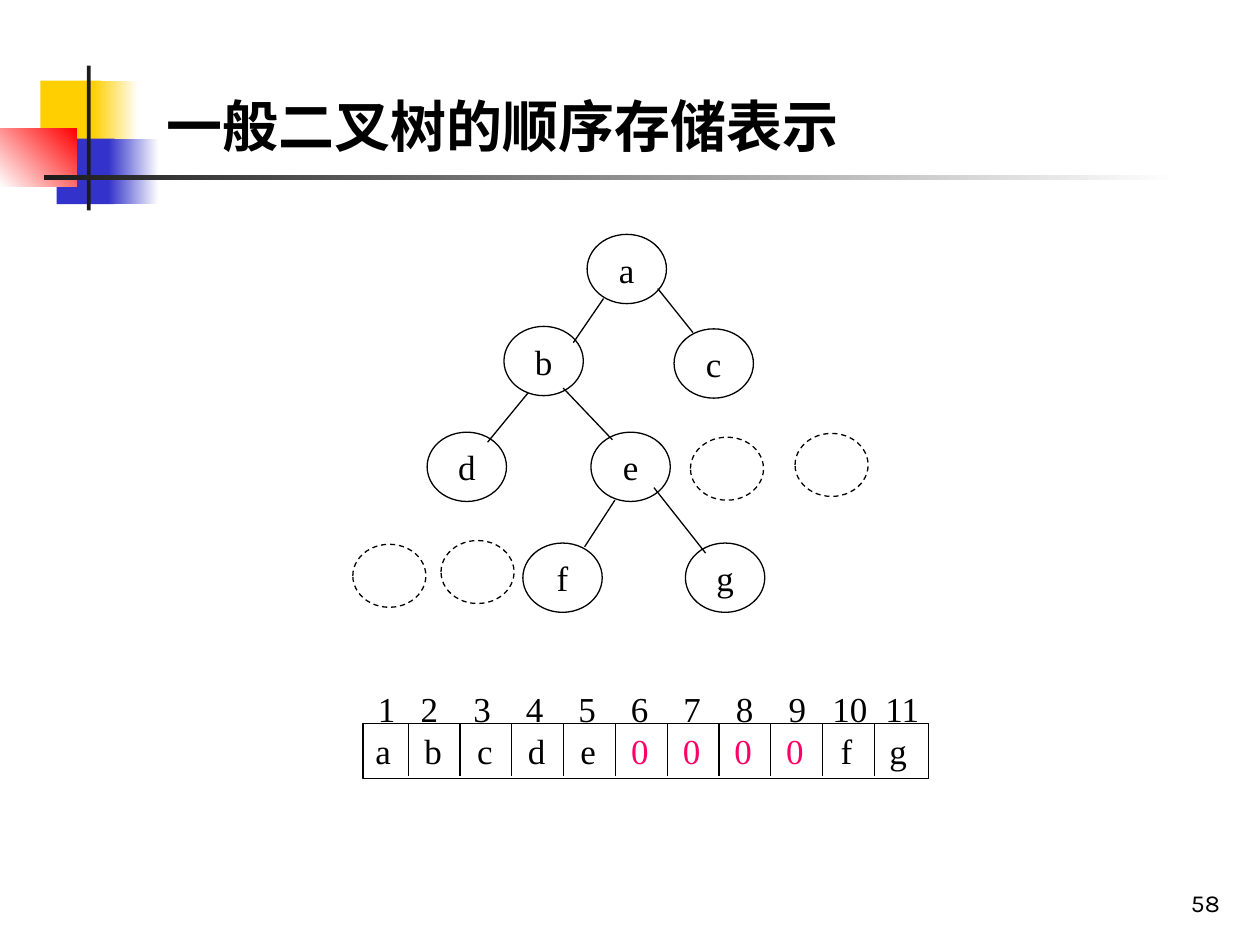
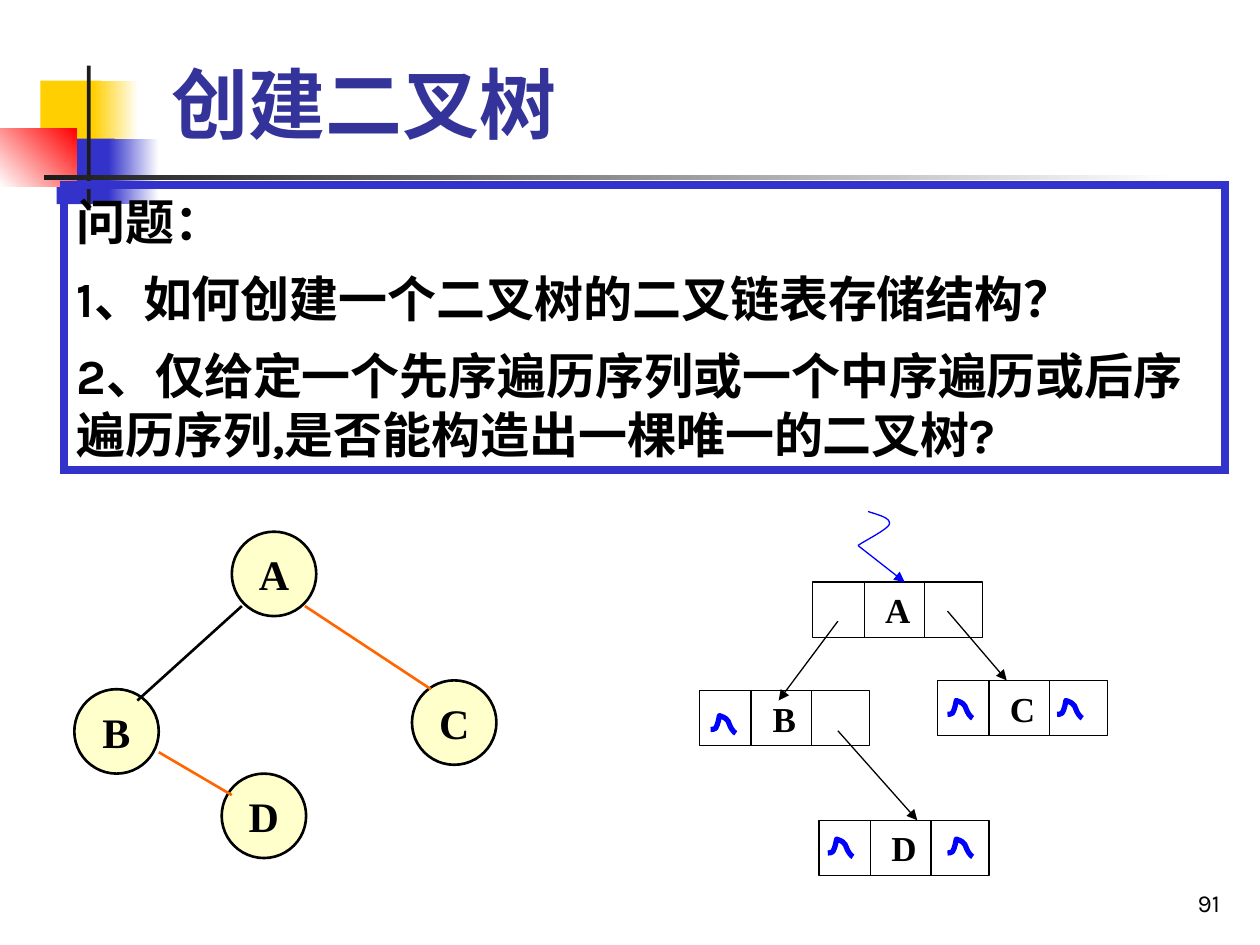
from dataclasses import dataclass
from typing import NamedTuple, Optional

from lxml.etree import SubElement
from pptx import Presentation
from pptx.dml.color import RGBColor
from pptx.enum.dml import MSO_LINE_DASH_STYLE as Dash
from pptx.enum.shapes import MSO_CONNECTOR as Connector, MSO_SHAPE as Preset
from pptx.enum.text import MSO_ANCHOR as Anchor, MSO_AUTO_SIZE as AutoSize, PP_ALIGN as Align
from pptx.oxml.ns import qn
from pptx.util import Inches, Pt

BLACK, WHITE, DARK = "000000", "FFFFFF", "1C1C1C"
YELLOW, BLUE, RED = "FFCF01", "3333CC", "FF0000"
TITLE_BLUE, POINTER_BLUE = "333399", "0000FF"
PINK, CREAM, ORANGE = "FF0066", "FFFFCC", "FF6600"
SANS, SERIF = "Karla", "Times New Roman"


@dataclass(frozen=True)
class TextStyle:
    size: float
    font: str = SERIF
    color: str = BLACK
    bold: bool = False


@dataclass(frozen=True)
class Look:
    fill: Optional[str] = None
    line: Optional[str] = BLACK
    width: float = 0.75
    dash: Optional[Dash] = None


class Box(NamedTuple):
    left: float
    top: float
    width: float
    height: float


class Band(NamedTuple):
    box: Box
    start: str
    end: Optional[str] = None
    angle: float = 0


class Node(NamedTuple):
    label: str
    left: float
    top: float


class Link(NamedTuple):
    x1: float
    y1: float
    x2: float
    y2: float
    color: str = BLACK


BANDS = [
    Band(Box(0.32, 0.64, 0.48, 0.52), YELLOW),
    Band(Box(0.74, 0.64, 0.36, 0.52), YELLOW, WHITE),
    Band(Box(0.45, 1.1, 0.46, 0.52), BLUE),
    Band(Box(0.86, 1.1, 0.4, 0.52), BLUE, WHITE),
    Band(Box(0, 1.02, 0.61, 0.46), WHITE, RED, 45),
    Band(Box(0.69, 0.52, 0.03, 1.15), DARK),
    Band(Box(0.35, 1.39, 9, 0.04), DARK, WHITE),
]
OUTLINE = Look()
DASHED = Look(dash=Dash.DASH)
PLAIN = TextStyle(20)

LETTER_NODES = [
    Node("a", 4.66, 1.86), Node("b", 4, 2.59), Node("c", 5.35, 2.61), Node("d", 3.39, 3.43),
    Node("e", 4.69, 3.43), Node("f", 4.15, 4.31), Node("g", 5.44, 4.31),
]
EMPTY_NODES = [Node("", 5.48, 3.47), Node("", 6.31, 3.44), Node("", 2.8, 4.32), Node("", 3.5, 4.29)]
LETTER_LINKS = [
    Link(4.79, 2.37, 4.55, 2.72), Link(4.19, 3.12, 3.87, 3.51), Link(5.22, 2.29, 5.5, 2.64),
    Link(4.47, 3.08, 4.86, 3.49), Link(5.19, 3.87, 5.6, 4.39), Link(4.88, 3.97, 4.64, 4.34),
]
ARRAY_BOX = Box(2.88, 5.74, 4.49, 0.44)
INDEX_BOX = Box(2.9, 5.4, 4.51, 0.44)
FIRST_DIVIDER, LAST_DIVIDER = 3.24, 6.94
ARRAY_PARTS = [("abcde", BLACK), ("0000", PINK), ("fg", BLACK)]
ARRAY_LENGTH = sum(len(values) for values, _ in ARRAY_PARTS)

TREE_NODES = [Node("A", 1.84, 4.22), Node("D", 1.76, 6.14), Node("B", 0.59, 5.47), Node("C", 3.27, 5.4)]
TREE_LINKS = [
    Link(1.92, 4.81, 1.09, 5.56), Link(2.42, 4.81, 3.42, 5.47, ORANGE),
    Link(1.26, 5.97, 1.84, 6.31, ORANGE),
]
RECORDS = [Node("A", 6.45, 4.62), Node("B", 5.55, 5.48), Node("C", 7.44, 5.4), Node("D", 6.5, 6.51)]
RECORD_WIDTH, RECORD_HEIGHT = 1.35, 0.44
FIELD_EDGES = (0.41, 0.89)
POINTERS = [
    Link(6.81, 4.33, 7.18, 4.62, POINTER_BLUE), Link(6.65, 4.93, 6.18, 5.56),
    Link(7.52, 4.85, 7.99, 5.4), Link(6.65, 5.8, 7.28, 6.51),
]
# Curves are a start point, then two control points and an end point per segment.
ROOT_CURVE = [(0.08, 0), (0.17, 0.03), (0.26, 0.05), (0.25, 0.1), (0.24, 0.14), (0.04, 0.24), (0, 0.27)]
NULL_CURVE = [
    (0, 0.11), (0.01, 0.11), (0.03, 0.11), (0.04, 0.1), (0.06, 0.07), (0.07, 0), (0.07, 0),
    (0.16, 0.03), (0.13, 0.05), (0.17, 0.11), (0.18, 0.13), (0.2, 0.14), (0.2, 0.14),
]
NULL_MARKS = [(5.64, 5.68), (7.52, 5.56), (8.39, 5.56), (6.57, 6.66), (7.52, 6.66)]
QUESTIONS = [
    "问题：",
    "1、如何创建一个二叉树的二叉链表存储结构？",
    "2、仅给定一个先序遍历序列或一个中序遍历或后序遍历序列,是否能构造出一棵唯一的二叉树?",
]


def rgb(color: str) -> RGBColor:
    return RGBColor.from_string(color)


def place(box: Box) -> list:
    return [Inches(value) for value in box]


def add_run(paragraph, text: str, style: TextStyle) -> None:
    run = paragraph.add_run()
    run.text = text
    run.font.size, run.font.name, run.font.bold = Pt(style.size), style.font, style.bold
    run.font.color.rgb = rgb(style.color)


def apply_look(shape, look: Look) -> None:
    shape.shadow.inherit = False
    if look.fill:
        shape.fill.solid()
        shape.fill.fore_color.rgb = rgb(look.fill)
    else:
        shape.fill.background()
    if look.line:
        shape.line.color.rgb = rgb(look.line)
        shape.line.width = Pt(look.width)
        if look.dash:
            shape.line.dash_style = look.dash
    else:
        shape.line.fill.background()


def add_shape(slide, preset: Preset, box: Box, look: Look, label: str = "", style: TextStyle = PLAIN):
    shape = slide.shapes.add_shape(preset, *place(box))
    apply_look(shape, look)
    if label:
        frame = shape.text_frame
        frame.word_wrap, frame.vertical_anchor = False, Anchor.MIDDLE
        frame.paragraphs[0].alignment = Align.CENTER
        add_run(frame.paragraphs[0], label, style)
    return shape


def add_link(slide, link: Link, width: float = 0.75, arrow: bool = False) -> None:
    ends = [Inches(value) for value in link[:4]]
    connector = slide.shapes.add_connector(Connector.STRAIGHT, *ends)
    connector.line.color.rgb = rgb(link.color)
    connector.line.width = Pt(width)
    if arrow:
        SubElement(connector.element.spPr.find(qn("a:ln")), qn("a:tailEnd"), type="triangle")
    SubElement(connector.element.spPr, qn("a:effectLst"))


def add_curve(slide, left: float, top: float, points: list, width: float) -> None:
    """Draw an open freeform, turning each three straight steps into one cubic Bezier."""
    start, *rest = [(Inches(left + x), Inches(top + y)) for x, y in points]
    builder = slide.shapes.build_freeform(*start)
    builder.add_line_segments(rest, close=False)
    shape = builder.convert_to_shape()
    steps = list(shape.element.iter(qn("a:lnTo")))
    for first in range(0, len(steps), 3):
        curve = SubElement(steps[0].getparent(), qn("a:cubicBezTo")) if not first else \
            SubElement(curve.getparent(), qn("a:cubicBezTo"))
        for step in steps[first:first + 3]:
            curve.append(step[0])
            step.getparent().remove(step)
    apply_look(shape, Look(line=POINTER_BLUE, width=width))


def add_bands(slide, layout) -> None:
    """Build the corner bands and move them to the layout that all slides share."""
    for band in BANDS:
        shape = add_shape(slide, Preset.RECTANGLE, band.box, Look(fill=band.start, line=None))
        if band.end:
            shape.fill.gradient()
            shape.fill.gradient_angle = band.angle
            for stop, color in zip(shape.fill.gradient_stops, (band.start, band.end)):
                stop.color.rgb = rgb(color)
        layout.shapes.element.append(shape.element)


def set_title(slide, text: str, box: Box, style: TextStyle, anchor: Anchor) -> None:
    title = slide.shapes.title
    title.left, title.top, title.width, title.height = place(box)
    frame = title.text_frame
    frame.auto_size, frame.word_wrap, frame.vertical_anchor = AutoSize.NONE, True, anchor
    frame.paragraphs[0].alignment = Align.LEFT
    add_run(frame.paragraphs[0], text, style)


def add_page_number(slide, number: int) -> None:
    frame = slide.shapes.add_textbox(*place(Box(7.7, 6.83, 2.08, 0.5))).text_frame
    frame.word_wrap, frame.vertical_anchor = True, Anchor.BOTTOM
    paragraph = frame.paragraphs[0]
    paragraph.alignment, paragraph.line_spacing = Align.RIGHT, 0.8
    add_run(paragraph, str(number), TextStyle(14, SANS))


def start_tabbed_line(shape, first_tab: float, step: float):
    """Return the shape's paragraph with a centred tab stop for each entry after the first."""
    frame = shape.text_frame
    frame.word_wrap, frame.vertical_anchor = True, Anchor.MIDDLE
    paragraph = frame.paragraphs[0]
    paragraph.alignment = Align.LEFT
    tabs = SubElement(paragraph._p.get_or_add_pPr(), qn("a:tabLst"))
    for index in range(ARRAY_LENGTH - 1):
        SubElement(tabs, qn("a:tab"), pos=str(Inches(first_tab + index * step)), algn="ctr")
    return paragraph


def add_array(slide) -> None:
    cells = add_shape(slide, Preset.RECTANGLE, ARRAY_BOX, OUTLINE)
    paragraph = start_tabbed_line(cells, 0.46, 0.41)
    for index, (values, color) in enumerate(ARRAY_PARTS):
        lead = "\t" if index else ""
        add_run(paragraph, lead + "\t".join(values), TextStyle(20, color=color))
    gap = (LAST_DIVIDER - FIRST_DIVIDER) / (ARRAY_LENGTH - 2)
    for index in range(ARRAY_LENGTH - 1):
        x = FIRST_DIVIDER + index * gap
        add_link(slide, Link(x, ARRAY_BOX.top, x, 6.16))
    indices = slide.shapes.add_textbox(*place(INDEX_BOX))
    paragraph = start_tabbed_line(indices, 0.41, 0.417)
    add_run(paragraph, "\t".join(str(index + 1) for index in range(ARRAY_LENGTH)), PLAIN)


def add_record(slide, record: Node) -> None:
    left, top = record.left, record.top
    add_shape(slide, Preset.RECTANGLE, Box(left, top, RECORD_WIDTH, RECORD_HEIGHT), OUTLINE,
              record.label, TextStyle(20, bold=True))
    for edge in FIELD_EDGES:
        add_link(slide, Link(left + edge, top, left + edge, top + RECORD_HEIGHT))


def add_questions(slide) -> None:
    panel = add_shape(slide, Preset.RECTANGLE, Box(0.51, 1.47, 9.21, 2.26), Look(line=BLUE, width=4.5))
    SubElement(panel.element.spPr.find(qn("a:ln")), qn("a:miter"), lim="800000")
    frame = panel.text_frame
    frame.word_wrap, frame.vertical_anchor = True, Anchor.TOP
    for index, question in enumerate(QUESTIONS):
        paragraph = frame.add_paragraph() if index else frame.paragraphs[0]
        paragraph.alignment = Align.LEFT
        if index:
            paragraph.space_before = Pt(10.5)
        add_run(paragraph, question, TextStyle(28, SANS, bold=True))


def build_sequential_storage(slide) -> None:
    set_title(slide, "一般二叉树的顺序存储表示", Box(1.22, 0.68, 6.69, 0.64),
              TextStyle(32, SANS, bold=True), Anchor.TOP)
    add_array(slide)
    for node in LETTER_NODES:
        add_shape(slide, Preset.OVAL, Box(node.left, node.top, 0.63, 0.55), OUTLINE, node.label)
    for link in LETTER_LINKS:
        add_link(slide, link)
    for node in EMPTY_NODES:
        add_shape(slide, Preset.OVAL, Box(node.left, node.top, 0.58, 0.5), DASHED)
    add_page_number(slide, 58)


def build_tree_creation(slide) -> None:
    set_title(slide, "创建二叉树", Box(1.26, 0.23, 8.52, 1),
              TextStyle(44, SANS, TITLE_BLUE, True), Anchor.BOTTOM)
    add_questions(slide)
    for node in TREE_NODES:
        add_shape(slide, Preset.OVAL, Box(node.left, node.top, 0.67, 0.67), Look(CREAM, width=1.5),
                  node.label, TextStyle(24, bold=True))
    for link in TREE_LINKS:
        add_link(slide, link, 1.5)
    for record in RECORDS:
        add_record(slide, record)
    add_curve(slide, 6.81, 4.06, ROOT_CURVE, 0.75)
    for pointer in POINTERS:
        add_link(slide, pointer, arrow=True)
    for left, top in NULL_MARKS:
        add_curve(slide, left, top, NULL_CURVE, 3)
    add_page_number(slide, 91)


def main() -> None:
    presentation = Presentation()
    presentation.slide_width, presentation.slide_height = Inches(10), Inches(7.5)
    layout = presentation.slide_layouts[5]
    storage, creation = (presentation.slides.add_slide(layout) for _ in range(2))
    add_bands(storage, layout)
    build_sequential_storage(storage)
    build_tree_creation(creation)
    presentation.save("out.pptx")


if __name__ == "__main__":
    main()
